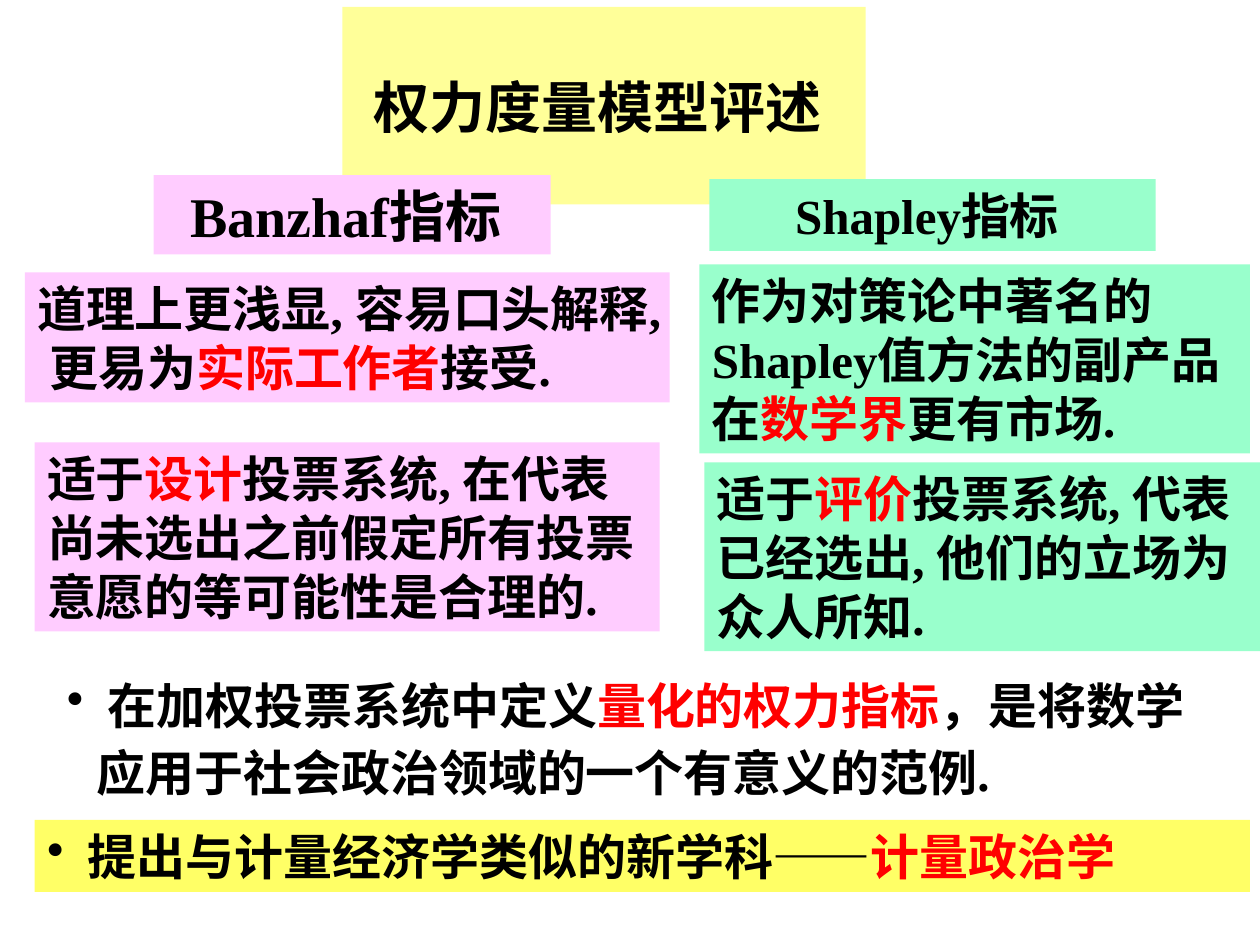
from lxml import etree
from pptx import Presentation
from pptx.dml.color import RGBColor
from pptx.enum import shapes, text
from pptx.oxml.ns import qn
from pptx.util import Cm, Pt

BLACK = RGBColor(0x00, 0x00, 0x00)
RED = RGBColor(0xFF, 0x00, 0x00)
PALE_YELLOW = RGBColor(0xFF, 0xFF, 0x99)
YELLOW = RGBColor(0xFF, 0xFF, 0x66)
PINK = RGBColor(0xFF, 0xCC, 0xFF)
GREEN = RGBColor(0x99, 0xFF, 0xCC)
SERIF = "Times New Roman"
SANS = "Noto Sans CJK SC"


def add_bullet(paragraph):
    """Give the paragraph a round bullet with a hanging indent."""
    props = paragraph._p.get_or_add_pPr()
    props.set("marL", str(Cm(0.6)))
    props.set("indent", str(-Cm(0.6)))
    etree.SubElement(props, qn("a:buChar")).set("char", "•")


def write(frame, parts, size=28, font=SERIF, centred=False, bullet=False):
    """Fill a frame with one bold paragraph; each part is (words, changes)."""
    frame.word_wrap = True
    frame.auto_size = text.MSO_AUTO_SIZE.SHAPE_TO_FIT_TEXT
    frame.vertical_anchor = text.MSO_ANCHOR.MIDDLE
    paragraph = frame.paragraphs[0]
    paragraph.alignment = text.PP_ALIGN.CENTER if centred else text.PP_ALIGN.LEFT
    if bullet:
        add_bullet(paragraph)
    paragraph.font.size = Pt(size)
    paragraph.font.bold = True
    paragraph.font.name = font
    paragraph.font.color.rgb = BLACK
    for words, changes in parts:
        run = paragraph.add_run()
        run.text = words
        if "color" in changes:
            run.font.color.rgb = changes["color"]
        if "font" in changes:
            run.font.name = changes["font"]
    return paragraph


def plain(words):
    return words, {}


def key(words):
    return words, {"color": RED}


def add_title(slide, place, words):
    title = slide.shapes.title
    title.left, title.top, title.width, title.height = map(Cm, place)
    title.fill.solid()
    title.fill.fore_color.rgb = PALE_YELLOW
    write(title.text_frame, [plain(words)], size=32, font=SANS, centred=True)


def add_panel(slide, place, color, parts, **style):
    panel = slide.shapes.add_shape(shapes.MSO_SHAPE.RECTANGLE, *map(Cm, place))
    panel.shadow.inherit = False
    panel.fill.solid()
    panel.fill.fore_color.rgb = color
    panel.line.fill.background()
    write(panel.text_frame, parts, **style)


def add_remark(slide, place, parts):
    remark = slide.shapes.add_textbox(*map(Cm, place))
    write(remark.text_frame, parts, bullet=True).line_spacing = 1.15


def main():
    prs = Presentation()
    prs.slide_width, prs.slide_height = Cm(25.4), Cm(19.05)
    slide = prs.slides.add_slide(prs.slide_layouts[5])

    add_title(slide, (6.9, 1.33, 10.55, 1.6), "权力度量模型评述 ")

    # Banzhaf column
    add_panel(slide, (3.1, 3.53, 8, 1.6), PINK,
              [plain("Banzhaf指标 ")], size=32, centred=True)
    add_panel(slide, (0.5, 5.49, 13, 2.62), PINK,
              [plain("道理上更浅显, 容易口头解释, 更易为"),
               key("实际工作者"), plain("接受.")])
    add_panel(slide, (0.7, 8.92, 12.6, 3.81), PINK,
              [plain("适于"), key("设计"),
               plain("投票系统, 在代表尚未选出之前假定所有投票意愿的等可能性是合理的.")])

    # Shapley column
    add_panel(slide, (14.3, 3.61, 9, 1.45), GREEN,
              [plain("Shapley指标 ")], centred=True)
    add_panel(slide, (14.1, 5.33, 11.1, 3.81), GREEN,
              [plain("作为对策论中著名的Shapley值方法的副产品在"),
               key("数学界"), plain("更有市场.")])
    add_panel(slide, (14.2, 9.32, 11.2, 3.81), GREEN,
              [plain("适于"), key("评价"),
               plain("投票系统, 代表已经选出, 他们的立场为众人所知.")])

    # Conclusions
    add_remark(slide, (1.1, 13.31, 23.2, 2.97),
               [plain(" 在加权投票系统中定义"), key("量化的权力指标"),
                plain("，是将数学应用于社会政治领域的一个有意义的范例.")])
    add_panel(slide, (0.7, 16.53, 24.5, 1.45), YELLOW,
              [plain(" 提出与计量经济学类似的新学科"),
               ("——", {"font": SERIF}), key("计量政治学")],
              font=SANS, bullet=True)

    prs.save("out.pptx")


if __name__ == "__main__":
    main()
